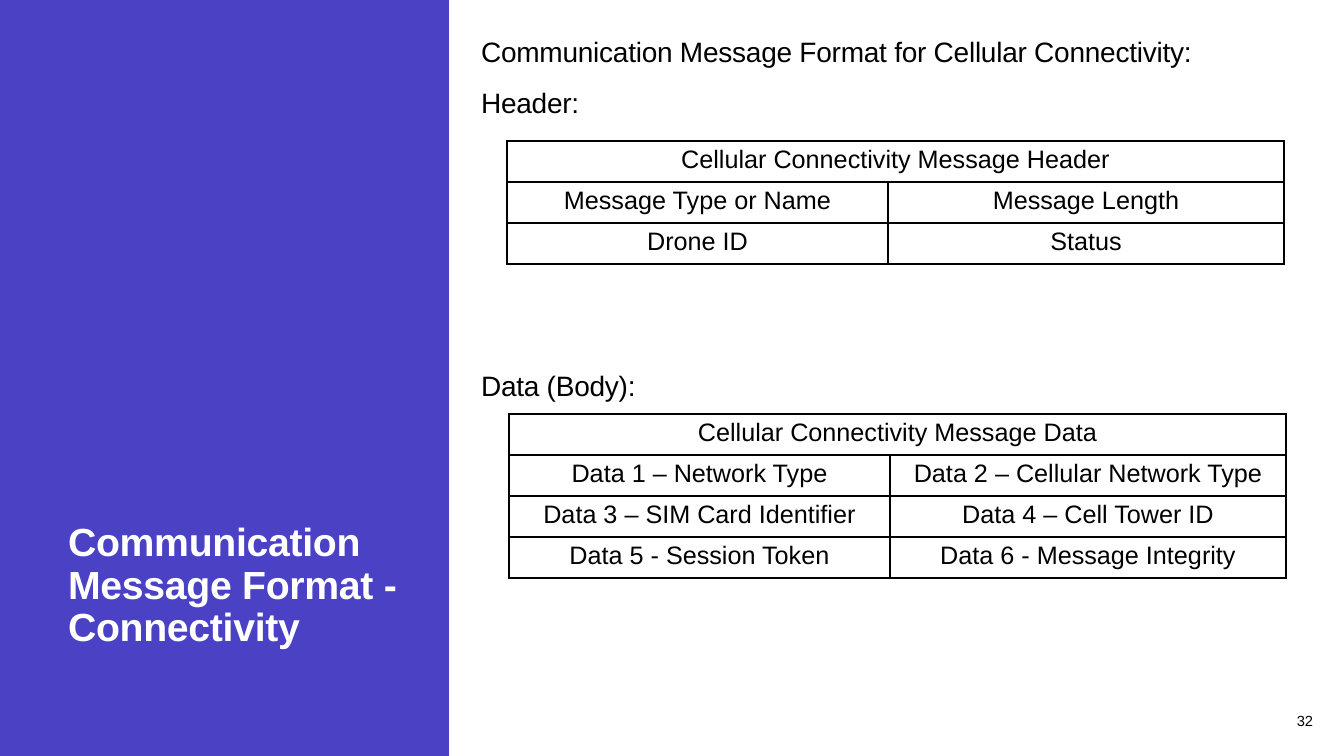
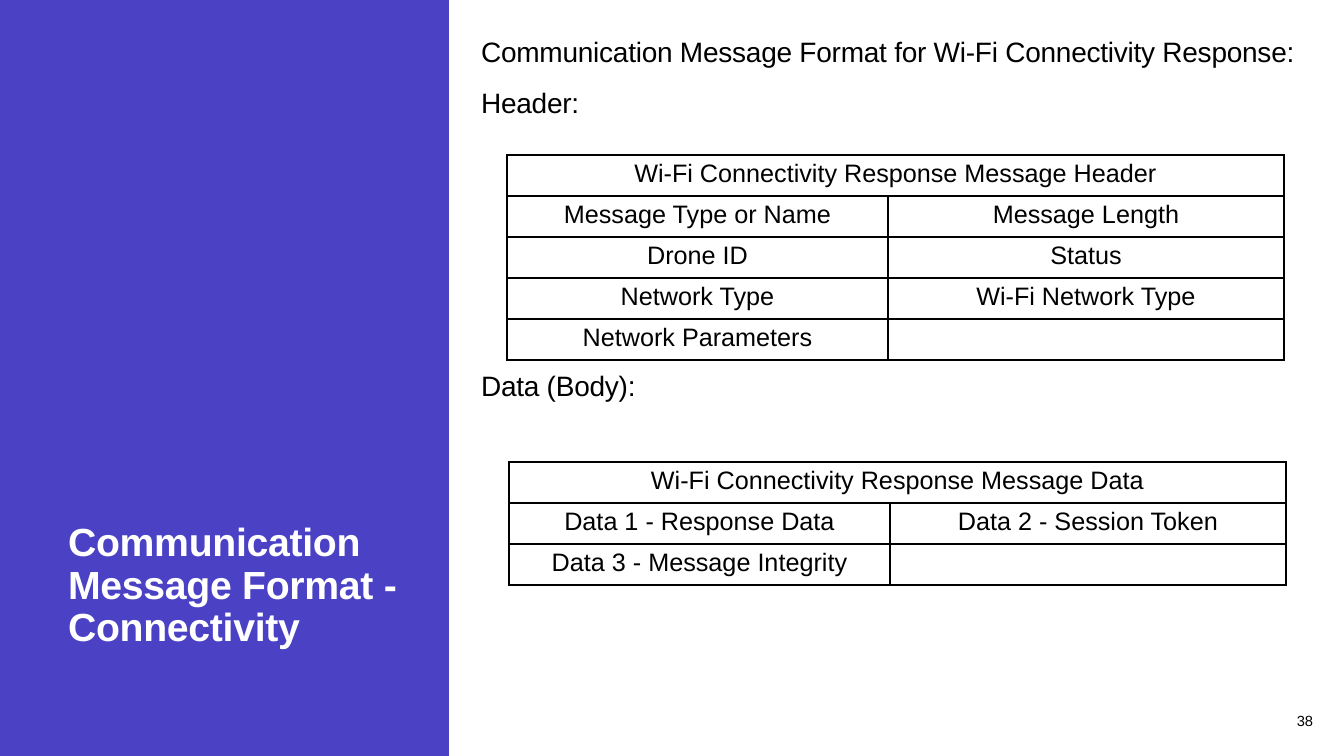
import pptx
import pptx.dml.color
import pptx.enum.shapes
import pptx.enum.text
import pptx.oxml
import pptx.oxml.ns
import pptx.util

PX = 914400 / 100.8
COLOURS = {"band": "4A41C5", "paper": "FFFFFF", "ink": "000000"}
FONT = "Arial"
ALIGN = pptx.enum.text.PP_ALIGN
ANCHOR = pptx.enum.text.MSO_ANCHOR


def px(length):
    return pptx.util.Emu(round(length * PX))


def colour(name):
    return pptx.dml.color.RGBColor.from_string(COLOURS[name])


class MessageDeck:
    """Holds the deck's style and the slide being built."""

    COLUMNS = (381, 396)
    ROW_HEIGHT = 41

    def __init__(self):
        self.deck = pptx.Presentation()
        self.deck.slide_width, self.deck.slide_height = px(1344), px(756)
        self.slide = None

    def add_slide(self, title, number):
        self.slide = self.deck.slides.add_slide(self.deck.slide_layouts[1])
        self.add_band()
        self.add_title(title)
        self.add_page_number(number)

    def add_band(self):
        band = self.slide.shapes.add_shape(
            pptx.enum.shapes.MSO_SHAPE.RECTANGLE, 0, 0, px(449), px(756))
        band.shadow.inherit = False
        band.fill.solid()
        band.fill.fore_color.rgb = colour("band")
        band.line.fill.background()
        # Index 2 is the back of the drawing order.
        self.slide.shapes._spTree.insert(2, band._element)

    def place(self, shape, left, top, width, height, anchor):
        shape.left, shape.top = px(left), px(top)
        shape.width, shape.height = px(width), px(height)
        frame = shape.text_frame
        frame.word_wrap = True
        frame.auto_size = pptx.enum.text.MSO_AUTO_SIZE.NONE
        frame.vertical_anchor = anchor
        return frame

    def style(self, para, size, ink="ink", align=ALIGN.LEFT, bold=False, spacing=0):
        """Format a paragraph's runs; spacing is in hundredths of a point."""
        para.alignment = align
        for span in para.runs:
            span.font.name = FONT
            span.font.size = pptx.util.Pt(size)
            span.font.bold = bold
            span.font.color.rgb = colour(ink)
            if spacing:
                span._r.get_or_add_rPr().set("spc", str(spacing))

    def add_title(self, text):
        frame = self.place(self.slide.shapes.title, 58, 86, 354, 569, ANCHOR.BOTTOM)
        frame.text = text
        para = frame.paragraphs[0]
        para.line_spacing = 0.9
        self.style(para, 28, "paper", bold=True, spacing=-20)

    def add_body(self, lines):
        """Fill the body with (text, points of space before) pairs."""
        frame = self.place(self.slide.placeholders[1], 471, 26, 835, 689, ANCHOR.TOP)
        frame.text = "\n".join(text for text, _ in lines)
        for para, (_, gap) in zip(frame.paragraphs, lines):
            properties = para._p.get_or_add_pPr()
            properties.set("marL", "0")
            properties.set("indent", "0")
            pptx.oxml.ns.qn("a:buNone")
            properties.append(pptx.oxml.parse_xml(
                f'<a:buNone {pptx.oxml.ns.nsdecls("a")}/>'))
            para.line_spacing = 1.1
            para.space_before = pptx.util.Pt(gap)
            self.style(para, 20, spacing=-20)

    def add_page_number(self, number):
        box = self.slide.shapes.add_textbox(0, 0, px(70), px(40))
        frame = self.place(box, 1253, 701, 70, 40, ANCHOR.MIDDLE)
        frame.text = str(number)
        self.style(frame.paragraphs[0], 10.5, align=ALIGN.RIGHT)

    def add_borders(self, cell):
        properties = cell._tc.get_or_add_tcPr()
        for side in ("lnL", "lnR", "lnT", "lnB"):
            properties.append(pptx.oxml.parse_xml(
                f'<a:{side} {pptx.oxml.ns.nsdecls("a")} w="12700"><a:solidFill>'
                f'<a:srgbClr val="{COLOURS["ink"]}"/></a:solidFill></a:{side}>'))

    def add_message_table(self, left, top, heading, rows):
        """Draw a two-column table under a heading that spans both columns."""
        rows = [(heading, ""), *rows]
        table = self.slide.shapes.add_table(
            len(rows), len(self.COLUMNS), px(left), px(top),
            px(sum(self.COLUMNS)), px(self.ROW_HEIGHT * len(rows))).table
        table.first_row = table.horz_banding = False
        for column, width in zip(table.columns, self.COLUMNS):
            column.width = px(width)
        for row, texts in zip(table.rows, rows):
            row.height = px(self.ROW_HEIGHT)
            for cell, text in zip(row.cells, texts):
                self.add_borders(cell)
                cell.fill.background()
                cell.text = text
                self.style(cell.text_frame.paragraphs[0], 18, align=ALIGN.CENTER)
        table.cell(0, 0).merge(table.cell(0, 1))


def add_message_slide(show, number, message, header_top, header_rows, data_top, data_rows):
    show.add_slide("Communication Message Format - Connectivity", number)
    show.add_body([(f"Communication Message Format for {message}:", 0),
                   ("Header:", 10), ("Data (Body):", 176)])
    show.add_message_table(507, header_top, f"{message} Message Header", header_rows)
    show.add_message_table(509, data_top, f"{message} Message Data", data_rows)


def main():
    show = MessageDeck()
    common_rows = [("Message Type or Name", "Message Length"), ("Drone ID", "Status")]
    add_message_slide(
        show, 32, "Cellular Connectivity", 141, common_rows, 414,
        [("Data 1 – Network Type", "Data 2 – Cellular Network Type"),
         ("Data 3 – SIM Card Identifier", "Data 4 – Cell Tower ID"),
         ("Data 5 - Session Token", "Data 6 - Message Integrity")])
    add_message_slide(
        show, 38, "Wi-Fi Connectivity Response", 155,
        common_rows + [("Network Type", "Wi-Fi Network Type"), ("Network Parameters", "")],
        462,
        [("Data 1 - Response Data", "Data 2 - Session Token"),
         ("Data 3 - Message Integrity", "")])
    show.deck.save("out.pptx")


if __name__ == "__main__":
    main()
